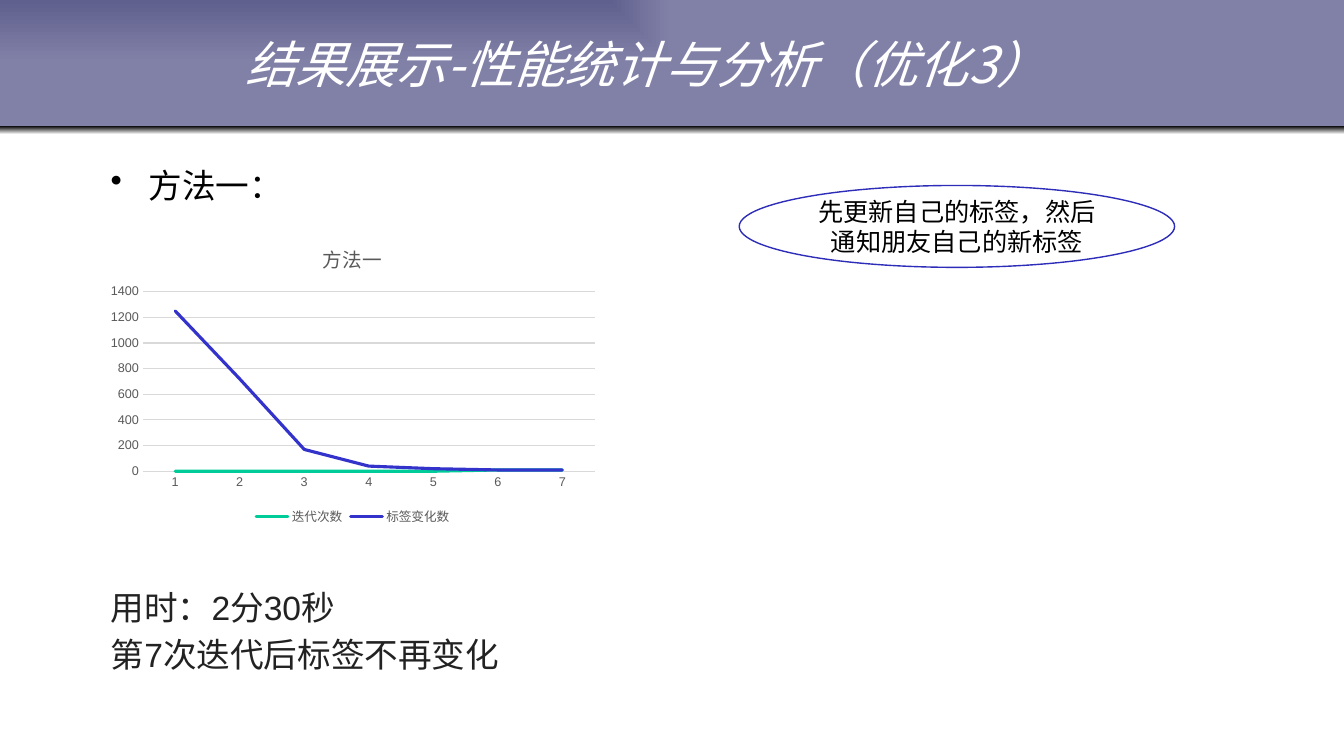
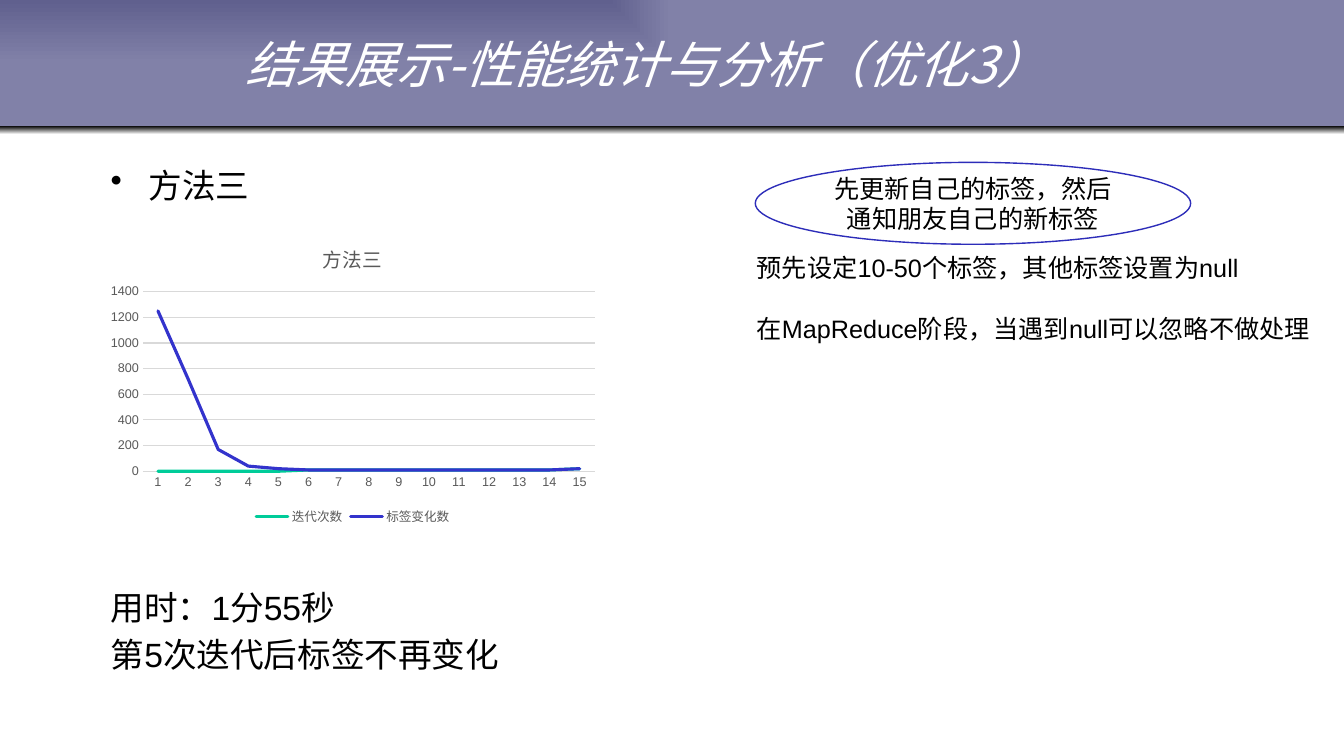
import pptx
import pptx.chart.data
import pptx.dml.color
import pptx.enum.chart
import pptx.enum.shapes
import pptx.enum.text
import pptx.oxml
import pptx.oxml.ns
import pptx.util

Pt = pptx.util.Pt
ANCHOR = pptx.enum.text.MSO_ANCHOR
ALIGN = pptx.enum.text.PP_ALIGN
SHAPE = pptx.enum.shapes.MSO_SHAPE

TITLE = "结果展示-性能统计与分析（优化3）"
ORDER = "先更新自己的标签，然后通知朋友自己的新标签"
BLACK, WHITE, GREY, GRID = "000000", "FFFFFF", "595959", "D9D9D9"
SERIES_COLORS = ["00CC99", "3333CC"]

TITLE_FORMAT = {"name": "Noto Sans CJK SC", "size": Pt(36), "italic": True}
BODY_FORMAT = {"name": "Arial", "size": Pt(24)}
NOTE_FORMAT = {"name": "Arial", "size": Pt(18)}
AXIS_FORMAT = {"name": "Arial", "size": Pt(9)}
CHART_TITLE_FORMAT = {"name": "Arial", "size": Pt(14), "bold": False}

SLIDES = [
    {
        "heading": "方法一：",
        "chart_title": "方法一",
        "iterations": [0] * 5 + [10] * 2,
        "changes": [1250, 720, 170, 40, 20] + [0] * 2,
        "ellipse": (528, 132.5),
        "notes": [],
        "results": ["用时：2分30秒", "第7次迭代后标签不再变化"],
        "result_color": "222222",
    },
    {
        "heading": "方法三",
        "chart_title": "方法三",
        "iterations": [0] * 5 + [10] * 9 + [20],
        "changes": [1250, 720, 170, 40, 20] + [0] * 10,
        "ellipse": (539.5, 116),
        "notes": ["预先设定10-50个标签，其他标签设置为null",
                  "在MapReduce阶段，当遇到null可以忽略不做处理"],
        "results": ["用时：1分55秒", "第5次迭代后标签不再变化"],
        "result_color": BLACK,
    },
]


def set_font(font, values, color):
    for name, value in values.items():
        setattr(font, name, value)
    font.color.rgb = pptx.dml.color.RGBColor.from_string(color)


def write_text(shape, lines, values, color, gap=0, anchor=ANCHOR.TOP, align=ALIGN.LEFT):
    frame = shape.text_frame
    frame.word_wrap = True
    frame.vertical_anchor = anchor
    for index, line in enumerate(lines):
        paragraph = frame.add_paragraph() if index else frame.paragraphs[0]
        paragraph.alignment = align
        paragraph.space_before = Pt(gap if index else 0)
        run = paragraph.add_run()
        run.text = line
        set_font(run.font, values, color)
        properties = run._r.get_or_add_rPr()
        properties.set("lang", "zh-CN")
        east_asian = pptx.oxml.parse_xml(
            f'<a:ea {pptx.oxml.ns.nsdecls("a")} typeface="{values["name"]}"/>')
        properties.find(pptx.oxml.ns.qn("a:latin")).addnext(east_asian)


presentation = pptx.Presentation()
presentation.slide_width, presentation.slide_height = Pt(960), Pt(540)

for content in SLIDES:
    slide = presentation.slides.add_slide(presentation.slide_layouts[6])
    shapes = slide.shapes

    # Title band with its shadow strip
    for top, height, colors in ((90, 6, (BLACK, WHITE)), (0, 90, ("60608E", "8181A8"))):
        band = shapes.add_shape(SHAPE.RECTANGLE, Pt(0), Pt(top), Pt(960), Pt(height))
        band.shadow.inherit = False
        band.line.fill.background()
        band.fill.gradient()
        band.fill.gradient_angle = 270
        for stop, color in zip(band.fill.gradient_stops, colors):
            stop.color.rgb = pptx.dml.color.RGBColor.from_string(color)
    linear = band._element.spPr.find(".//" + pptx.oxml.ns.qn("a:lin"))
    linear.getparent().replace(linear, pptx.oxml.parse_xml(
        f'<a:path {pptx.oxml.ns.nsdecls("a")} path="rect">'
        '<a:fillToRect r="100000" b="100000"/></a:path>'))

    title = shapes.add_textbox(Pt(168), Pt(0), Pt(784), Pt(90))
    write_text(title, [TITLE], TITLE_FORMAT, WHITE, anchor=ANCHOR.MIDDLE)

    # Bulleted heading
    heading = shapes.add_textbox(Pt(72), Pt(114), Pt(400), Pt(38))
    indent = heading.text_frame.paragraphs[0]._p.get_or_add_pPr()
    indent.set("marL", str(Pt(27)))
    indent.set("indent", str(Pt(-27)))
    indent.append(pptx.oxml.parse_xml(
        f'<a:buChar {pptx.oxml.ns.nsdecls("a")} char="•"/>'))
    write_text(heading, [content["heading"]], BODY_FORMAT, BLACK)

    # Line chart
    data = pptx.chart.data.CategoryChartData()
    data.categories = [str(n + 1) for n in range(len(content["changes"]))]
    data.add_series("迭代次数", content["iterations"])
    data.add_series("标签变化数", content["changes"])
    chart = shapes.add_chart(pptx.enum.chart.XL_CHART_TYPE.LINE_STACKED,
                             Pt(72), Pt(162), Pt(360), Pt(216), data).chart
    set_font(chart.font, AXIS_FORMAT, GREY)
    chart.has_title = True
    chart.chart_title.include_in_layout = False
    chart_title = chart.chart_title.text_frame
    chart_title.text = content["chart_title"]
    set_font(chart_title.paragraphs[0].runs[0].font, CHART_TITLE_FORMAT, GREY)
    chart.has_legend = True
    chart.legend.position = pptx.enum.chart.XL_LEGEND_POSITION.BOTTOM
    chart.legend.include_in_layout = False
    set_font(chart.legend.font, AXIS_FORMAT, GREY)
    for axis in (chart.category_axis, chart.value_axis):
        axis.major_tick_mark = axis.minor_tick_mark = pptx.enum.chart.XL_TICK_MARK.NONE
        set_font(axis.tick_labels.font, AXIS_FORMAT, GREY)
    chart.value_axis.format.line.fill.background()
    for line in (chart.category_axis.format.line,
                 chart.value_axis.major_gridlines.format.line):
        line.width = Pt(0.75)
        line.color.rgb = pptx.dml.color.RGBColor.from_string(GRID)
    chart.plots[0].vary_by_categories = False
    for series, color in zip(chart.plots[0].series, SERIES_COLORS):
        series.smooth = False
        series.marker.style = pptx.enum.chart.XL_MARKER_STYLE.NONE
        series.format.line.width = Pt(2.25)
        series.format.line.color.rgb = pptx.dml.color.RGBColor.from_string(color)
        series.format.line._ln.set("cap", "rnd")

    # Results below the chart
    results = shapes.add_textbox(Pt(72), Pt(416), Pt(816), Pt(72))
    write_text(results, content["results"], BODY_FORMAT, content["result_color"], gap=4.8)

    # Notes and the update order
    if content["notes"]:
        notes = shapes.add_textbox(Pt(533.5), Pt(177), Pt(413), Pt(94))
        write_text(notes, content["notes"], NOTE_FORMAT, BLACK, gap=21.5)
    left, top = content["ellipse"]
    ellipse = shapes.add_shape(SHAPE.OVAL, Pt(left), Pt(top), Pt(311), Pt(58.5))
    ellipse.shadow.inherit = False
    ellipse.fill.solid()
    ellipse.fill.fore_color.rgb = pptx.dml.color.RGBColor.from_string(WHITE)
    ellipse.line.width = Pt(1)
    ellipse.line.color.rgb = pptx.dml.color.RGBColor.from_string("2D2DB9")
    write_text(ellipse, [ORDER], NOTE_FORMAT, BLACK, anchor=ANCHOR.MIDDLE, align=ALIGN.CENTER)

presentation.save("out.pptx")
